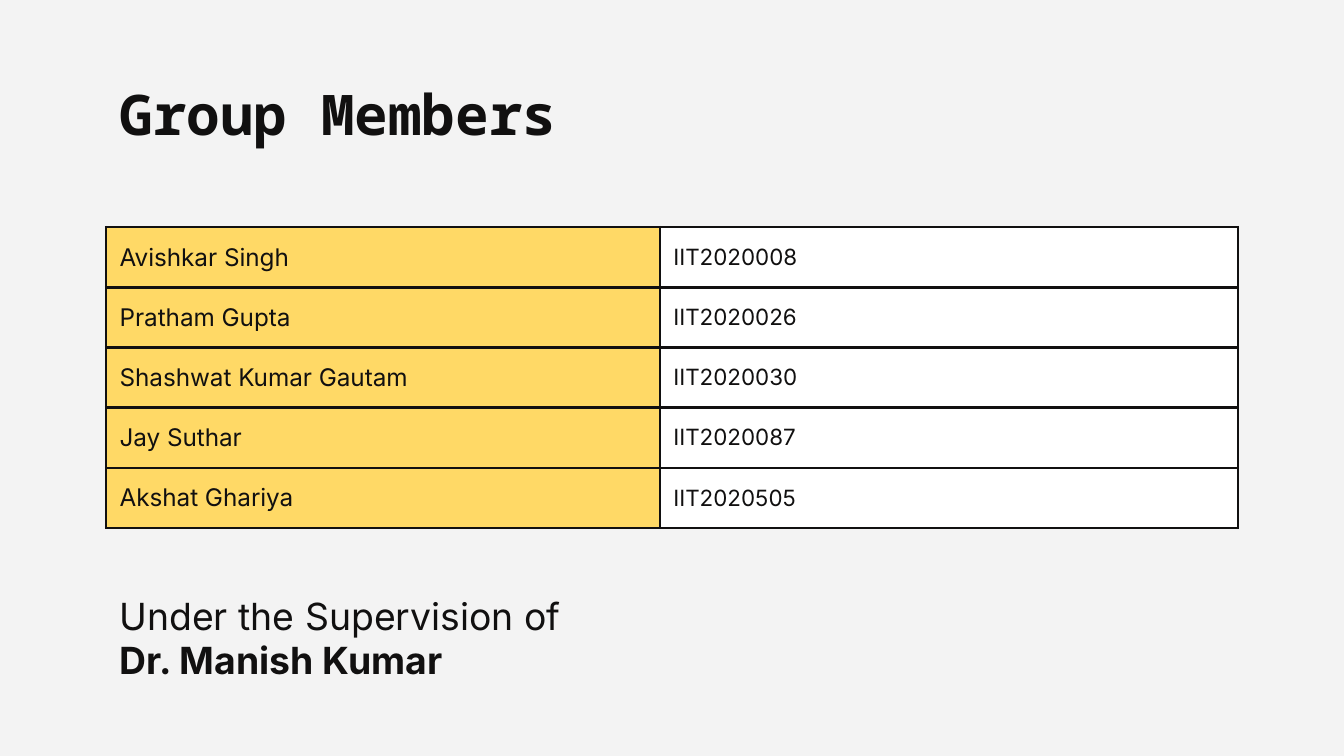
from pptx import Presentation
from pptx.dml.color import RGBColor
from pptx.enum import text
from pptx.oxml import parse_xml
from pptx.oxml.ns import nsdecls
from pptx.util import Inches, Pt

INK, PAPER, YELLOW, WHITE = "111010", "F3F3F3", "FFD966", "FFFFFF"
TITLE = "Group Members"
MEMBERS = [
    ("Avishkar Singh", "IIT2020008"),
    ("Pratham Gupta", "IIT2020026"),
    ("Shashwat Kumar Gautam", "IIT2020030"),
    ("Jay Suthar", "IIT2020087"),
    ("Akshat Ghariya", "IIT2020505"),
]
COLUMNS = [(4.12, YELLOW, 13), (4.3, WHITE, 12)]
SUPERVISION = [("Under the Supervision of ", False), ("Dr. Manish Kumar", True)]
SLIDE_WIDTH = 10
LEFT, TABLE_HEIGHT = 0.79, 2.24


def set_fill(fill, color):
    fill.solid()
    fill.fore_color.rgb = RGBColor.from_string(color)


def style_run(run, size, bold=False, name="Inter"):
    run.font.name = name
    run.font.size = Pt(size)
    run.font.bold = bold
    run.font.color.rgb = RGBColor.from_string(INK)


def set_frame(frame):
    frame.word_wrap = True
    frame.auto_size = text.MSO_AUTO_SIZE.NONE
    frame.vertical_anchor = text.MSO_ANCHOR.TOP
    frame.margin_left = frame.margin_right = Inches(0.1)
    frame.margin_top = frame.margin_bottom = Inches(0.1)


def add_borders(cell):
    properties = cell._tc.get_or_add_tcPr()
    for index, side in enumerate(("lnL", "lnR", "lnT", "lnB")):
        properties.insert(index, parse_xml(
            f'<a:{side} {nsdecls("a")} w="{Pt(1.5)}"><a:solidFill>'
            f'<a:srgbClr val="{INK}"/></a:solidFill></a:{side}>'))


def add_title(slide):
    title = slide.shapes.title
    title.left, title.top = Inches(LEFT), Inches(0.49)
    title.width, title.height = Inches(8.43), Inches(0.63)
    frame = title.text_frame
    frame.text = TITLE
    set_frame(frame)
    frame.paragraphs[0].alignment = text.PP_ALIGN.LEFT
    style_run(frame.paragraphs[0].runs[0], 30, True, "Noto Sans Mono")


def add_members(slide):
    table_width = sum(column[0] for column in COLUMNS)
    table = slide.shapes.add_table(
        len(MEMBERS), len(COLUMNS), Inches(LEFT), Inches(1.69),
        Inches(table_width), Inches(TABLE_HEIGHT)).table
    table.first_row = table.horz_banding = False
    for row, member in enumerate(MEMBERS):
        for column, (width, color, size) in enumerate(COLUMNS):
            table.columns[column].width = Inches(width)
            cell = table.cell(row, column)
            cell.text = member[column]
            cell.vertical_anchor = text.MSO_ANCHOR.MIDDLE
            cell.margin_left = cell.margin_right = Inches(0.1)
            cell.margin_top = cell.margin_bottom = 0
            set_fill(cell.fill, color)
            add_borders(cell)
            style_run(cell.text_frame.paragraphs[0].runs[0], size)


def add_supervision(slide):
    box = slide.shapes.add_textbox(
        Inches(LEFT), Inches(4.31), Inches(3.52), Inches(0.35))
    set_frame(box.text_frame)
    paragraph = box.text_frame.paragraphs[0]
    for words, bold in SUPERVISION:
        run = paragraph.add_run()
        run.text = words
        style_run(run, 20, bold)


def main():
    presentation = Presentation()
    presentation.slide_width = Inches(SLIDE_WIDTH)
    presentation.slide_height = Inches(SLIDE_WIDTH * 9 / 16)
    slide = presentation.slides.add_slide(presentation.slide_layouts[5])
    set_fill(slide.background.fill, PAPER)
    add_title(slide)
    add_members(slide)
    add_supervision(slide)
    presentation.save("out.pptx")


if __name__ == "__main__":
    main()
